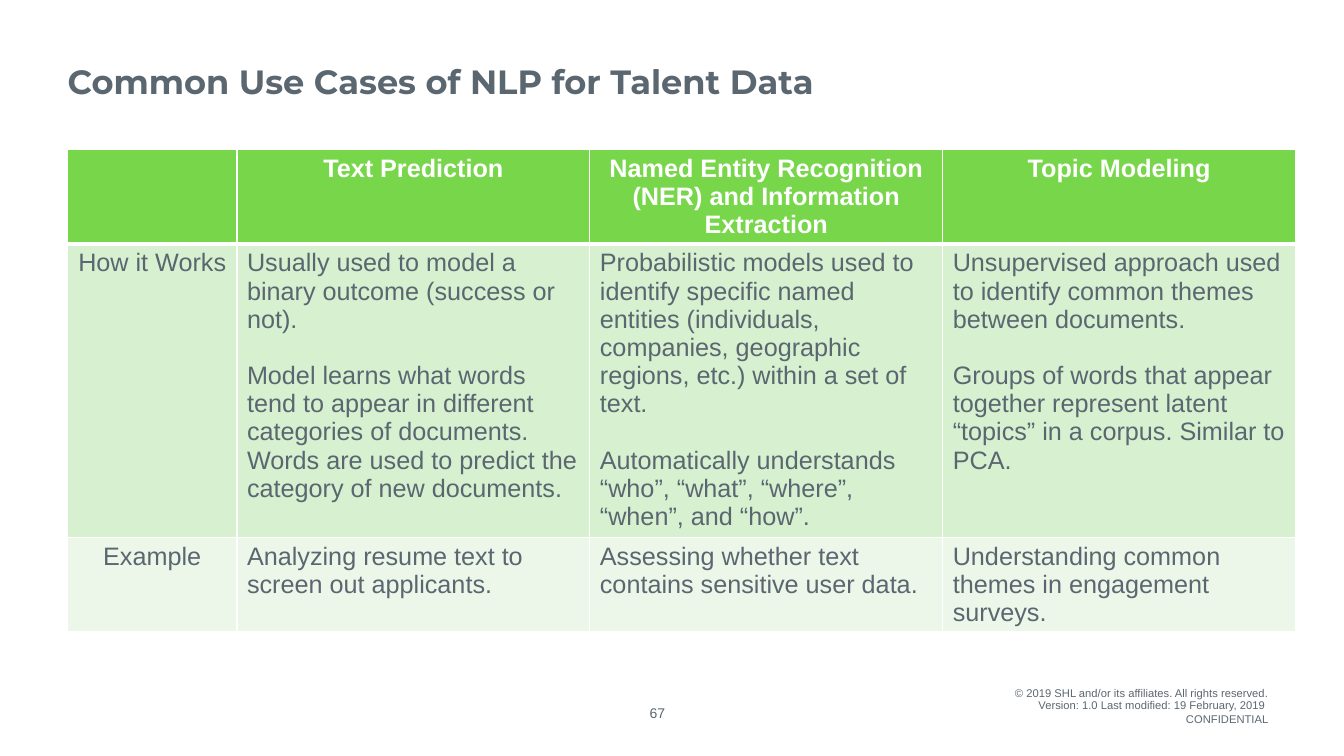
from lxml.etree import SubElement
from pptx import Presentation
from pptx.dml.color import RGBColor
from pptx.enum.text import MSO_ANCHOR, PP_ALIGN
from pptx.oxml.ns import qn
from pptx.util import Inches, Pt

GREY, WHITE, GREEN = "5B6770", "FFFFFF", "78D64B"
ROW_FILLS = [GREEN, "D6F0D0", "ECF7E9"]
COL_WIDTHS = [1.68, 3.5, 3.5, 3.5]
ROW_HEIGHTS = [0.93, 2.91, 0.94]
USE_CASES = [
    [[], ["Text Prediction"],
     ["Named Entity Recognition (NER) and Information Extraction"],
     ["Topic Modeling"]],
    [["How it Works"],
     ["Usually used to model a binary outcome (success or not).",
      "Model learns what words tend to appear in different categories of "
      "documents. Words are used to predict the category of new documents."],
     ["Probabilistic models used to identify specific named entities "
      "(individuals, companies, geographic regions, etc.) within a set of text.",
      "Automatically understands “who”, “what”, “where”, “when”, and “how”."],
     ["Unsupervised approach used to identify common themes between documents.",
      "Groups of words that appear together represent latent “topics” in a "
      "corpus. Similar to PCA."]],
    [["Example"],
     ["Analyzing resume text to screen out applicants."],
     ["Assessing whether text contains sensitive user data."],
     ["Understanding common themes in engagement surveys."]],
]
FOOTER = [
    "© 2019 SHL and/or its affiliates. All rights reserved. "
    "Version: 1.0 Last modified: 19 February, 2019 ",
    "CONFIDENTIAL",
]


def rgb(color):
    """Turn a hex string into a colour."""
    return RGBColor.from_string(color)


def write(tf, texts, size, color=GREY, font="Arial", bold=False,
          align=PP_ALIGN.LEFT, gap=0, line=None):
    """Write one paragraph per text, with a gap between paragraphs."""
    tf.word_wrap = True
    for i, text in enumerate(texts):
        p = tf.add_paragraph() if i else tf.paragraphs[0]
        p.alignment = align
        p.space_before = Pt(gap if i else 0)
        if line:
            p.line_spacing = Pt(line)
        r = p.add_run()
        r.text = text
        r.font.name, r.font.size, r.font.bold = font, Pt(size), bold
        r.font.color.rgb = rgb(color)


def set_margins(tf, left, top, right, bottom):
    """Set the four text margins in inches."""
    tf.margin_left, tf.margin_top = Inches(left), Inches(top)
    tf.margin_right, tf.margin_bottom = Inches(right), Inches(bottom)


def set_borders(cell, top, bottom):
    """Give a cell white borders, ahead of its fill."""
    tc_pr = cell._tc.get_or_add_tcPr()
    widths = {"lnL": 1, "lnR": 1, "lnT": top, "lnB": bottom}
    for i, (side, width) in enumerate(widths.items()):
        ln = SubElement(tc_pr, qn(f"a:{side}"), w=str(Pt(width)))
        fill = SubElement(ln, qn("a:solidFill"))
        SubElement(fill, qn("a:srgbClr"), val=WHITE)
        tc_pr.insert(i, ln)


def add_title(s, text, x, y, w, h):
    """Place and format the title placeholder."""
    title = s.shapes.title
    title.left, title.top = Inches(x), Inches(y)
    title.width, title.height = Inches(w), Inches(h)
    tf = title.text_frame
    set_margins(tf, 0, 0.05, 0.1, 0.05)
    tf.vertical_anchor = MSO_ANCHOR.BOTTOM
    write(tf, [text], 24, font="Montserrat", bold=True)


def add_use_cases(s, x, y):
    """Draw the table of use cases."""
    frame = s.shapes.add_table(
        len(ROW_HEIGHTS), len(COL_WIDTHS), Inches(x), Inches(y),
        Inches(sum(COL_WIDTHS)), Inches(sum(ROW_HEIGHTS)))
    table = frame.table
    for col, width in zip(table.columns, COL_WIDTHS):
        col.width = Inches(width)
    for i, row in enumerate(USE_CASES):
        table.rows[i].height = Inches(ROW_HEIGHTS[i])
        for j, texts in enumerate(row):
            cell = table.cell(i, j)
            cell.fill.solid()
            cell.fill.fore_color.rgb = rgb(ROW_FILLS[i])
            set_borders(cell, 3 if i == 1 else 1, 3 if i == 0 else 1)
            centred = i == 0 or j == 0
            write(cell.text_frame, texts, 18, WHITE if i == 0 else GREY,
                  bold=i == 0, gap=20,
                  align=PP_ALIGN.CENTER if centred else PP_ALIGN.LEFT)


def add_page_number(s, number, x, y, w, h):
    """Place the page number."""
    tf = s.shapes.add_textbox(
        Inches(x), Inches(y), Inches(w), Inches(h)).text_frame
    set_margins(tf, 0, 0, 0, 0)
    write(tf, [number], 10, align=PP_ALIGN.CENTER, line=9)


def add_footer(s, x, y, w, h):
    """Place the copyright lines."""
    tf = s.shapes.add_textbox(
        Inches(x), Inches(y), Inches(w), Inches(h)).text_frame
    set_margins(tf, 0, 0.05, 0.1, 0.05)
    tf.vertical_anchor = MSO_ANCHOR.MIDDLE
    write(tf, FOOTER, 8, align=PP_ALIGN.RIGHT, gap=2, line=8)


def main():
    """Build and save the slide."""
    prs = Presentation()
    prs.slide_width, prs.slide_height = Inches(13.33), Inches(7.5)
    s = prs.slides.add_slide(prs.slide_layouts[5])
    add_title(s, "Common Use Cases of NLP for Talent Data", 0.67, 0.4, 12, 0.65)
    add_use_cases(s, 0.67, 1.48)
    add_page_number(s, "67", 6.26, 7.03, 0.52, 0.15)
    add_footer(s, 10.01, 6.77, 2.67, 0.49)
    prs.save("out.pptx")


if __name__ == "__main__":
    main()
